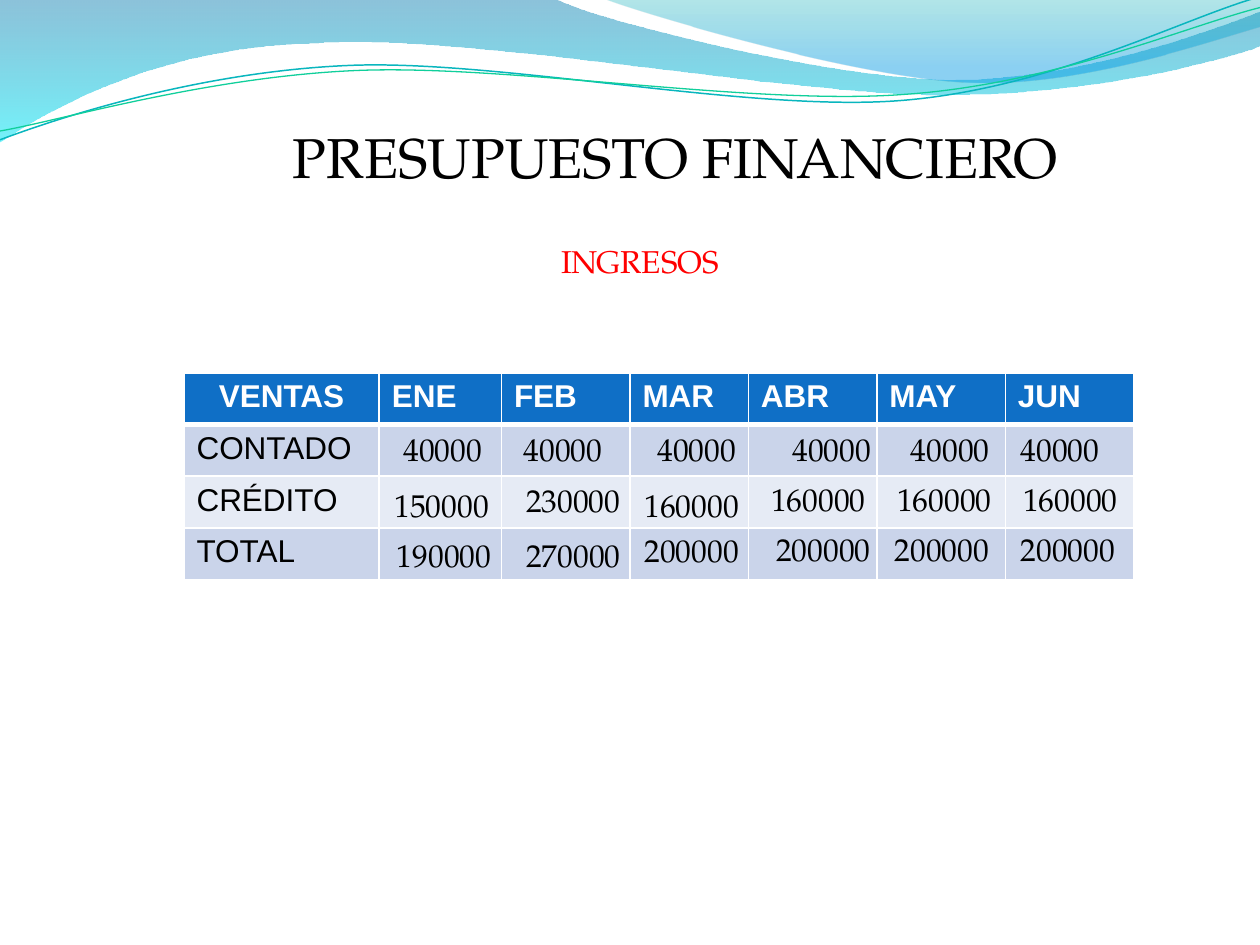
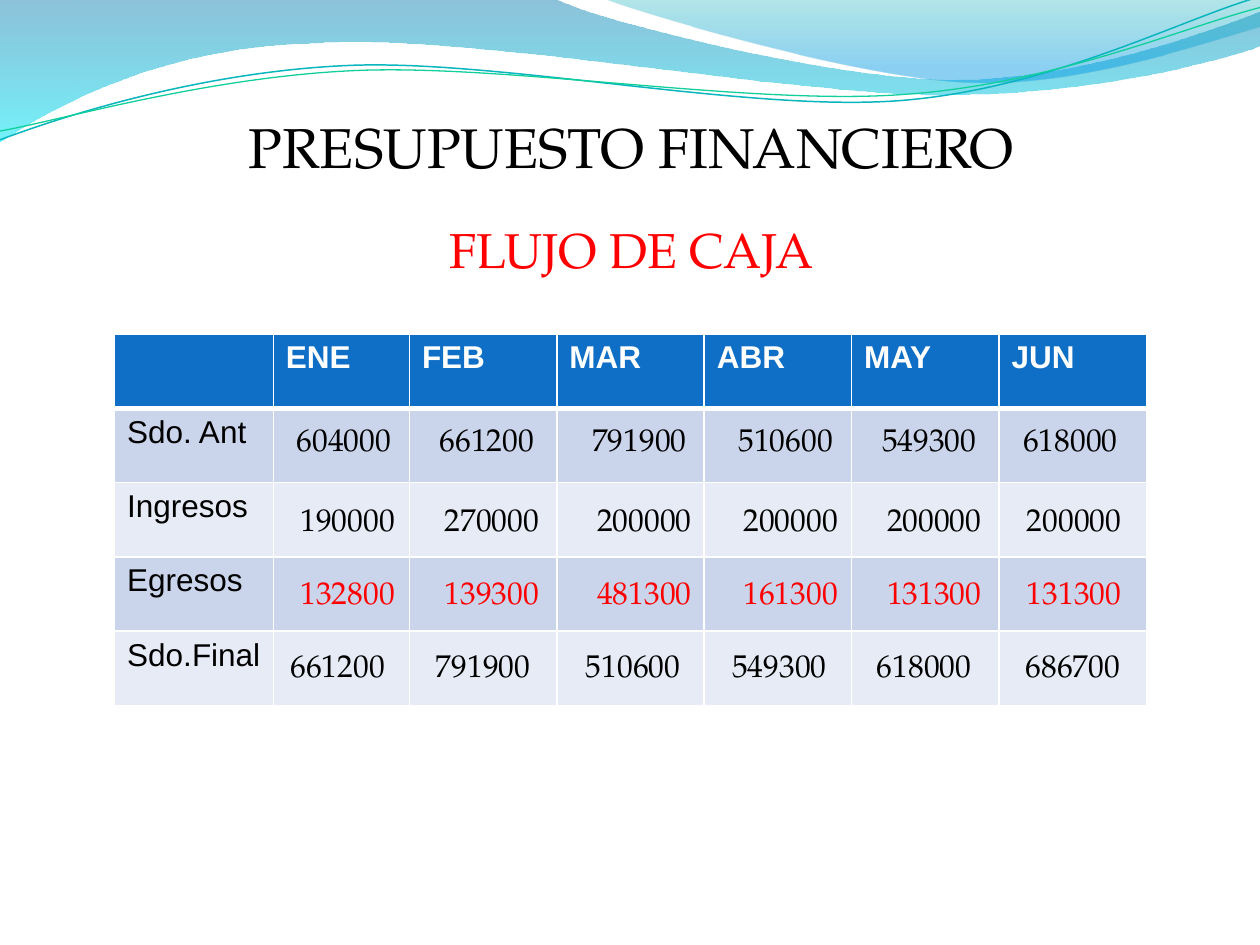
import pptx
import pptx.dml.color
import pptx.enum.text
import pptx.oxml
import pptx.oxml.ns
import pptx.util

Inches = pptx.util.Inches
Points = pptx.util.Pt
RGBColor = pptx.dml.color.RGBColor
Align = pptx.enum.text.PP_ALIGN
Anchor = pptx.enum.text.MSO_ANCHOR
FIT_SHAPE = pptx.enum.text.MSO_AUTO_SIZE.SHAPE_TO_FIT_TEXT
qualified = pptx.oxml.ns.qn
NAMESPACE = pptx.oxml.ns.nsdecls("a")

BLACK = RGBColor(0x00, 0x00, 0x00)
WHITE = RGBColor(0xFF, 0xFF, 0xFF)
RED = RGBColor(0xFF, 0x00, 0x00)
HEADER_BLUE = RGBColor(0x0F, 0x6F, 0xC6)
ROW_BLUES = [RGBColor(0xCA, 0xD4, 0xEA), RGBColor(0xE6, 0xEB, 0xF5)]
WAVE_DEEP_BLUE = RGBColor(0x00, 0x79, 0xAD)
WAVE_CYAN = RGBColor(0x00, 0xE9, 0xF7)
WAVE_TEAL = RGBColor(0x00, 0xAB, 0xB4)
WAVE_SKY = RGBColor(0x00, 0x99, 0xE4)
LINE_TEAL = RGBColor(0x09, 0xB6, 0xBE)
LINE_GREEN = RGBColor(0x10, 0xCF, 0x9B)

TITLE_FONT = "TeX Gyre Pagella"
TABLE_FONT = "Arial"
MONTHS = ["ENE", "FEB", "MAR", "ABR", "MAY", "JUN"]
VALUE_HEIGHT = 0.4


def write(text_frame, text, size, color, font=TITLE_FONT, bold=False, align=Align.CENTER):
    paragraph = text_frame.paragraphs[0]
    paragraph.alignment = align
    run = paragraph.add_run()
    run.text = text
    run.font.size = Points(size)
    run.font.name = font
    run.font.bold = bold
    run.font.color.rgb = color


def draw_wave(slide, segments, closed):
    """Freeform along segments of one point (line) or three points (cubic curve)."""
    start = segments[0]
    anchors = [segment if len(segment) == 2 else segment[-1] for segment in segments[1:]]
    builder = slide.shapes.build_freeform(Inches(start[0]), Inches(start[1]))
    builder.add_line_segments([(Inches(x), Inches(y)) for x, y in anchors], close=closed)
    wave = builder.convert_to_shape()
    wave.shadow.inherit = False
    straight_lines = list(wave.element.iter(qualified("a:lnTo")))
    for line, segment in zip(straight_lines, segments[1:]):
        if len(segment) == 3:
            point_xml = "".join(f'<a:pt x="{Inches(x) - wave.left}" y="{Inches(y) - wave.top}"/>'
                                for x, y in segment)
            line.getparent().replace(line, pptx.oxml.parse_xml(
                f'<a:cubicBezTo {NAMESPACE}>{point_xml}</a:cubicBezTo>'))
    return wave


presentation = pptx.Presentation()
presentation.slide_width = Inches(10)
presentation.slide_height = Inches(7.5)
layout = presentation.slide_layouts[0]

# Each band: outline, then gradient stops as (position %, colour, opacity %)
bands = [
    ([(0, 0), (4.4, -0.01),
      ((4.76, 0.17), (6.64, 0.63), (7.58, 0.63)), ((8.53, 0.63), (9.58, 0.26), (10, 0.09)),
      (10.01, 0.36),
      ((9.83, 0.44), (8.7, 0.76), (7.46, 0.75)), ((6.22, 0.75), (3.82, 0.28), (2.57, 0.34)),
      ((1.29, 0.36), (0.46, 0.83), (-0.01, 1.13))],
     [(0, WAVE_DEEP_BLUE, 45), (100, WAVE_CYAN, 55)]),
    ([(4.79, -0.01),
      ((5.09, 0.11), (6.82, 0.62), (7.69, 0.65)), ((8.56, 0.69), (9.61, 0.32), (10, 0.21)),
      (10, 0)],
     [(0, WAVE_TEAL, 30), (80, WAVE_SKY, 45), (100, WAVE_SKY, 45)]),
]
# Each wave line: curve, colour, width
wave_lines = [
    ([(0, 1.11), ((0.48, 0.93), (1.58, 0.57), (2.77, 0.52)),
      ((3.95, 0.47), (5.93, 0.89), (7.13, 0.8)), ((8.33, 0.71), (9.38, 0.15), (9.98, -0.02))],
     LINE_TEAL, 0.85),
    ([(0, 1.04), ((0.47, 0.96), (1.64, 0.61), (2.83, 0.56)),
      ((4.03, 0.51), (5.97, 0.84), (7.17, 0.75)), ((8.36, 0.67), (9.41, 0.21), (10, 0.06))],
     LINE_GREEN, 0.75),
]

# Row: label, colour, values, shifts of the values from their cell centres, box widths.
# Quarter: values in one box, left, top, width, indent, tab stops.
flow_widths = [1.12, 1.02, 1.02, 1.02, 1.18, 1.26]
budgets = [
    {
        "title": (2.22, 0.92, 6.28, 0.64),
        "subtitle": ("INGRESOS", 18, (3.74, 1.87, 2.68, 0.4)),
        "corner": "VENTAS",
        "left": 1.46, "top": 2.96, "row_height": 0.41,
        "columns": [1.55, 0.97, 1.02, 0.94, 1.02, 1.02, 1.02],
        "rows": [
            ("CONTADO", BLACK, [40000] * 3, [0.02, -0.02, 0.06], [-0.01] * 3, [0.9] * 3),
            ("CRÉDITO", BLACK, [150000, 230000, 160000], [0.01, 0.06, 0.02],
             [0.02, -0.02, 0.02], [1.02, 1.06, 1.03]),
            ("TOTAL", BLACK, [190000, 270000, 200000], [0.03, 0.06, 0.02],
             [0.01, 0.01, -0.03], [1.02] * 3),
        ],
        "quarters": [
            ([40000] * 3, 6, 3.36, 3.04, 0.29, (0.94, 1.81)),
            ([160000] * 3, 5.98, 3.76, 3.06, 0.14, (1, 2)),
            ([200000] * 3, 5.98, 4.16, 3.08, 0.18, (0.94, 1.94)),
        ],
    },
    {
        "title": (1.87, 0.84, 6.28, 0.64),
        "subtitle": ("FLUJO DE CAJA", 28, (1.79, 1.69, 6.44, 0.57)),
        "corner": "",
        "left": 0.91, "top": 2.65, "row_height": 0.59,
        "columns": [1.26, 1.08] + [1.17] * 5,
        "rows": [
            ("Sdo. Ant", BLACK, [604000, 661200, 791900, 510600, 549300, 618000],
             [0.02, 0.03, 0.07, 0.06, 0.03, -0.02], [-0.05] * 6, flow_widths),
            ("Ingresos", BLACK, [190000, 270000] + [200000] * 4,
             [0.05, 0.07, 0.11, 0.1, 0.07, 0.01], [-0.01] * 6, flow_widths),
            ("Egresos", RED, [132800, 139300, 481300, 161300, 131300, 131300],
             [0.05, 0.07, 0.11, 0.1, 0.07, 0.01], [-0.02] * 6, flow_widths),
            ("Sdo.Final", BLACK, [661200, 791900, 510600, 549300, 618000, 686700],
             [-0.03, 0, 0.02, 0.01, -0.01, 0], [-0.03] * 6, flow_widths),
        ],
        "quarters": [],
    },
]

slides = [presentation.slides.add_slide(layout) for budget in budgets]

# Waves are drawn on a slide, then moved to the layout that all slides share
for outline, stops in bands:
    band = draw_wave(slides[0], outline, True)
    band.line.fill.background()
    band.fill.gradient()
    stop_xml = "".join(
        f'<a:gs pos="{position * 1000}"><a:srgbClr val="{color}">'
        f'<a:alpha val="{opacity * 1000}"/></a:srgbClr></a:gs>'
        for position, color, opacity in stops)
    properties = band.element.spPr
    properties.replace(
        properties.find(qualified("a:gradFill")),
        pptx.oxml.parse_xml(
            f'<a:gradFill {NAMESPACE} rotWithShape="1"><a:gsLst>{stop_xml}</a:gsLst>'
            '<a:lin ang="5400000" scaled="0"/></a:gradFill>'))
    layout.shapes.element.append(band.element)

for curve, color, width in wave_lines:
    wave_line = draw_wave(slides[0], curve, False)
    wave_line.fill.background()
    wave_line.line.color.rgb = color
    wave_line.line.width = Points(width)
    layout.shapes.element.append(wave_line.element)

for slide, budget in zip(slides, budgets):
    subtitle, subtitle_size, subtitle_box = budget["subtitle"]
    headings = [
        (slide.shapes.title, "PRESUPUESTO FINANCIERO", 32, BLACK, budget["title"]),
        (slide.placeholders[1], subtitle, subtitle_size, RED, subtitle_box),
    ]
    for placeholder, text, size, color, box in headings:
        placeholder.left, placeholder.top, placeholder.width, placeholder.height = map(Inches, box)
        placeholder.text_frame.auto_size = FIT_SHAPE
        placeholder.text_frame.vertical_anchor = Anchor.MIDDLE
        placeholder.text_frame.paragraphs[0].space_before = Points(0)
        write(placeholder.text_frame, text, size, color)

    columns, rows, row_height = budget["columns"], budget["rows"], budget["row_height"]
    table = slide.shapes.add_table(
        len(rows) + 1, len(columns), Inches(budget["left"]), Inches(budget["top"]),
        Inches(sum(columns)), Inches(row_height * (len(rows) + 1))).table
    for column, width in zip(table.columns, columns):
        column.width = Inches(width)
    for row_index, row in enumerate(table.rows):
        row.height = Inches(row_height)
        for cell in row.cells:
            cell.fill.solid()
            cell.fill.fore_color.rgb = ROW_BLUES[(row_index - 1) % 2] if row_index else HEADER_BLUE
            if row_index == 0:
                cell.fill.fore_color.rgb = HEADER_BLUE
                cell_properties = cell._tc.get_or_add_tcPr()
                cell_properties.insert(0, pptx.oxml.parse_xml(
                    f'<a:lnB {NAMESPACE} w="{Points(3)}"><a:solidFill>'
                    f'<a:srgbClr val="{WHITE}"/></a:solidFill></a:lnB>'))

    for column_index, header in enumerate([budget["corner"]] + MONTHS):
        if header:
            write(table.cell(0, column_index).text_frame, header, 18, WHITE, TABLE_FONT, True,
                  Align.LEFT if column_index else Align.CENTER)

    value_boxes = []
    for row_index, (label, color, values, shifts_x, shifts_y, widths) in enumerate(rows, start=1):
        write(table.cell(row_index, 0).text_frame, label, 18, BLACK, TABLE_FONT, align=Align.LEFT)
        middle = budget["top"] + row_height * (row_index + 0.5)
        for month, (value, shift_x, shift_y, width) in enumerate(
                zip(values, shifts_x, shifts_y, widths), start=1):
            center = budget["left"] + sum(columns[:month]) + columns[month] / 2
            value_boxes.append((str(value), color, center + shift_x - width / 2,
                                middle + shift_y - VALUE_HEIGHT / 2, width, 0.1, ()))
    for values, left, top, width, indent, tab_stops in budget["quarters"]:
        value_boxes.append(("\t".join(map(str, values)), BLACK, left, top, width, indent, tab_stops))

    for text, color, left, top, width, indent, tab_stops in value_boxes:
        value_box = slide.shapes.add_textbox(
            Inches(left), Inches(top), Inches(width), Inches(VALUE_HEIGHT))
        text_frame = value_box.text_frame
        text_frame.word_wrap = True
        text_frame.auto_size = FIT_SHAPE
        text_frame.vertical_anchor = Anchor.MIDDLE
        text_frame.margin_left = Inches(indent)
        write(text_frame, text, 18, color, align=Align.LEFT if tab_stops else Align.CENTER)
        if tab_stops:
            tab_xml = "".join(f'<a:tab pos="{Inches(stop)}" algn="l"/>' for stop in tab_stops)
            text_frame.paragraphs[0]._p.get_or_add_pPr().append(
                pptx.oxml.parse_xml(f'<a:tabLst {NAMESPACE}>{tab_xml}</a:tabLst>'))

presentation.save("out.pptx")
